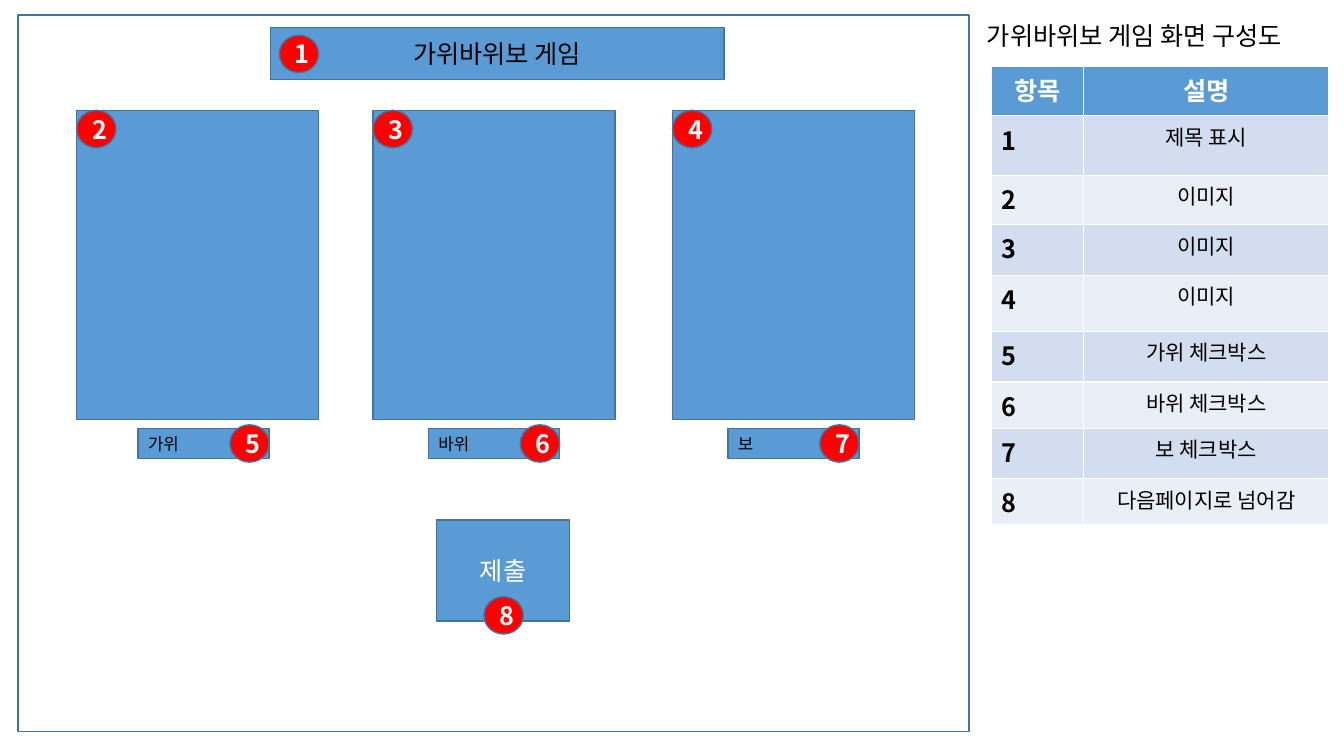
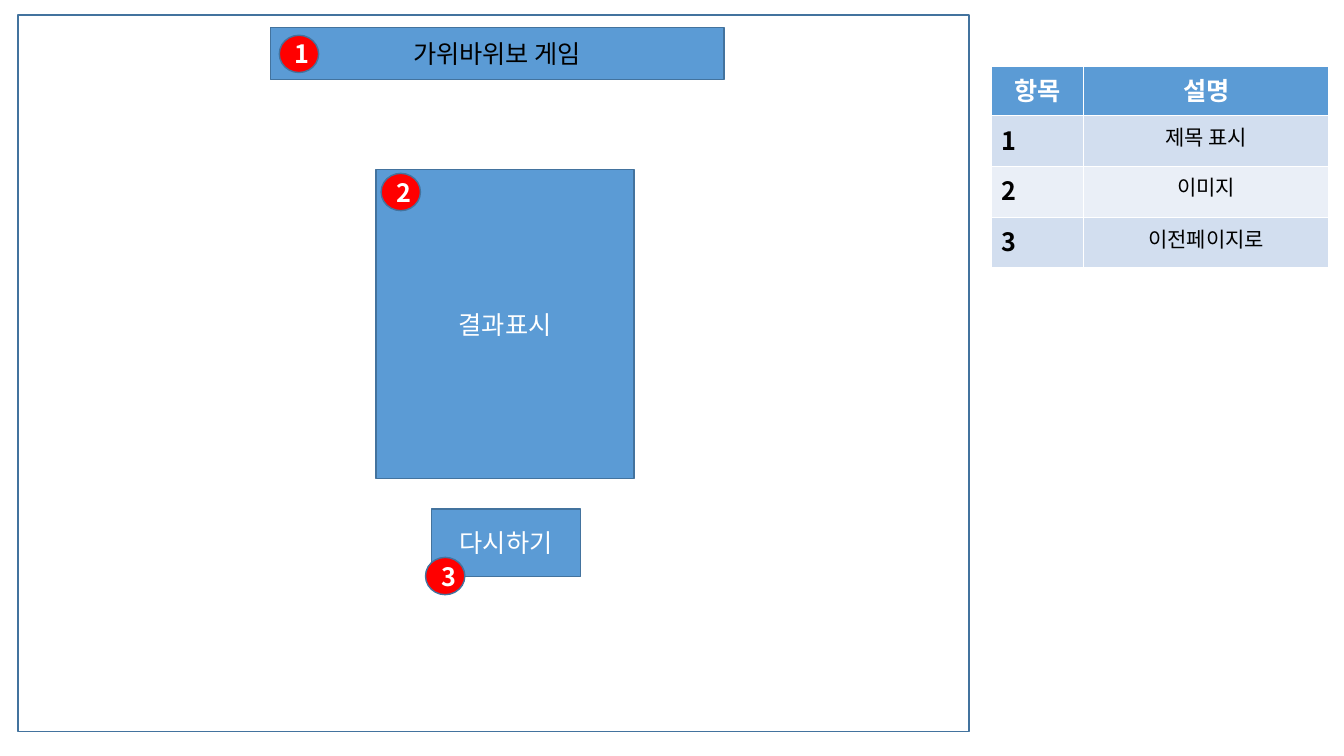
"""Build the two screen layouts of a rock-paper-scissors game."""
import lxml.etree
import pptx
import pptx.dml.color
import pptx.enum.shapes
import pptx.enum.text
import pptx.oxml.ns
import pptx.util

COLORS = {
    "box": "5B9BD5",
    "outline": "43739E",
    "badge": "FF0000",
    "odd_row": "D2DEEF",
    "even_row": "EAEFF7",
    "white": "FFFFFF",
    "black": "000000",
}
FONT = "Noto Sans CJK KR"
UNIT = 0.1
CENTER = pptx.enum.text.PP_ALIGN.CENTER
LEFT = pptx.enum.text.PP_ALIGN.LEFT
RECTANGLE = pptx.enum.shapes.MSO_SHAPE.RECTANGLE
OVAL = pptx.enum.shapes.MSO_SHAPE.OVAL

FORMATS = {
    "normal": {"size": pptx.util.Pt(18), "bold": False},
    "strong": {"size": pptx.util.Pt(18), "bold": True},
    "detail": {"size": pptx.util.Pt(15), "bold": False},
    "small": {"size": pptx.util.Pt(12), "bold": False},
}

FRAME = (1.8, 1.5, 94.3, 71.1)
TITLE_BAR = (26.8, 2.7, 45, 5.2)
HEADING = (96.9, 1.5, 35.4, 4.6)
CARD_TOP, CARD_WIDTH, CARD_HEIGHT = 10.95, 24, 30.7
CHECK_TOP, CHECK_WIDTH, CHECK_HEIGHT = 42.5, 13, 3
BADGE_WIDTH, BADGE_HEIGHT = 3.9, 3.7
TABLE_LEFT, TABLE_TOP = 98.3, 6.6
TABLE_COLUMNS = (9.2, 24.3)

CHOICES = [("가위", 7.6, 13.7), ("바위", 37, 42.5), ("보", 66.7, 72.2)]
GAME_ROWS = [
    ("항목", "설명", 4.9),
    ("1", "제목 표시", 5.9),
    ("2", "이미지", 4.9),
    ("3", "이미지", 5),
    ("4", "이미지", 5.6),
    ("5", "가위 체크박스", 5),
    ("6", "바위 체크박스", 4.6),
    ("7", "보 체크박스", 5),
    ("8", "다음페이지로 넘어감", 4.6),
]
RESULT_ROWS = [
    ("항목", "설명", 4.9),
    ("1", "제목 표시", 5),
    ("2", "이미지", 5.1),
    ("3", "이전페이지로", 5),
]


def grid(*units):
    """Turn grid columns or rows into lengths."""
    return [pptx.util.Inches(unit * UNIT) for unit in units]


def color(name):
    """Look up a named colour."""
    return pptx.dml.color.RGBColor.from_string(COLORS[name])


def write(frame, text, style="normal", ink="white", align=CENTER):
    """Fill a text frame with one formatted line."""
    para = frame.paragraphs[0]
    para.alignment = align
    span = para.add_run()
    span.text = text
    for name, value in {**FORMATS[style], "name": FONT}.items():
        setattr(span.font, name, value)
    span.font.color.rgb = color(ink)
    east_asian = pptx.oxml.ns.qn("a:ea")
    lxml.etree.SubElement(span._r.get_or_add_rPr(), east_asian, typeface=FONT)


def paint(shape, fill):
    """Give a shape its fill and the shared outline."""
    shape.fill.solid()
    shape.fill.fore_color.rgb = color(fill)
    shape.line.color.rgb = color("outline")
    shape.line.width = pptx.util.Pt(1)


def add_box(page, area, text="", kind=RECTANGLE, fill="box", **style):
    """Add a filled shape with an optional label."""
    box = page.shapes.add_shape(kind, *grid(*area))
    box.shadow.inherit = False
    paint(box, fill)
    if text:
        write(box.text_frame, text, **style)
    return box


def add_badge(page, number, left, top):
    """Add a numbered red marker."""
    area = (left, top, BADGE_WIDTH, BADGE_HEIGHT)
    add_box(page, area, str(number), OVAL, "badge", style="strong")


def add_screen(deck):
    """Add a page with the screen frame and the title bar."""
    page = deck.slides.add_slide(deck.slide_layouts[5])
    add_box(page, FRAME).fill.background()
    title = page.shapes.title
    places = zip(("left", "top", "width", "height"), grid(*TITLE_BAR))
    for name, value in places:
        setattr(title, name, value)
    paint(title, "box")
    title.text_frame.auto_size = pptx.enum.text.MSO_AUTO_SIZE.NONE
    title.text_frame.vertical_anchor = pptx.enum.text.MSO_ANCHOR.MIDDLE
    write(title.text_frame, "가위바위보 게임", ink="black")
    add_badge(page, 1, 27.7, 3.5)
    return page


def add_heading(page, text):
    """Add the heading above the table."""
    box = page.shapes.add_textbox(*grid(*HEADING))
    box.text_frame.word_wrap = True
    write(box.text_frame, text, ink="black", align=LEFT)


def add_description(page, rows):
    """Add the table that explains the numbered markers."""
    area = (TABLE_LEFT, TABLE_TOP, sum(TABLE_COLUMNS), sum(row[-1] for row in rows))
    table = page.shapes.add_table(len(rows), len(TABLE_COLUMNS), *grid(*area)).table
    for column, width in zip(table.columns, grid(*TABLE_COLUMNS)):
        column.width = width
    for index, (*texts, height) in enumerate(rows):
        table.rows[index].height = grid(height)[0]
        if index == 0:
            fill, ink, styles, aligns = "box", "white", ("strong", "strong"), (CENTER, CENTER)
        else:
            fill = "odd_row" if index % 2 else "even_row"
            ink, styles, aligns = "black", ("strong", "detail"), (LEFT, CENTER)
        for cell, text, style, align in zip(table.rows[index].cells, texts, styles, aligns):
            cell.fill.solid()
            cell.fill.fore_color.rgb = color(fill)
            write(cell.text_frame, text, style, ink, align)


def add_choice(page, index, label, card_left, check_left):
    """Add a picture card with its checkbox and both markers."""
    add_box(page, (card_left, CARD_TOP, CARD_WIDTH, CARD_HEIGHT))
    add_badge(page, 2 + index, card_left, CARD_TOP)
    check = (check_left, CHECK_TOP, CHECK_WIDTH, CHECK_HEIGHT)
    add_box(page, check, label, style="small", ink="black", align=LEFT)
    badge_left = check_left + CHECK_WIDTH - BADGE_WIDTH
    badge_top = CHECK_TOP + (CHECK_HEIGHT - BADGE_HEIGHT) / 2
    add_badge(page, 5 + index, badge_left, badge_top)


def build_game(deck):
    """Build the screen where the player chooses."""
    page = add_screen(deck)
    for index, choice in enumerate(CHOICES):
        add_choice(page, index, *choice)
    add_box(page, (43.3, 51.6, 13.2, 10), "제출")
    add_badge(page, 8, 48, 59.2)
    add_heading(page, "가위바위보 게임 화면 구성도")
    add_description(page, GAME_ROWS)


def build_result(deck):
    """Build the screen that shows the result."""
    page = add_screen(deck)
    add_box(page, (37.3, 16.8, 25.6, CARD_HEIGHT), "결과표시")
    add_badge(page, 2, 37.8, 17.2)
    add_box(page, (42.8, 50.5, 14.8, 6.7), "다시하기")
    add_badge(page, 3, 42.2, 55.3)
    add_description(page, RESULT_ROWS)


def main():
    """Create and save the deck."""
    deck = pptx.Presentation()
    deck.slide_width = pptx.util.Inches(13.33)
    deck.slide_height = pptx.util.Inches(7.5)
    build_game(deck)
    build_result(deck)
    deck.save("out.pptx")


if __name__ == "__main__":
    main()
